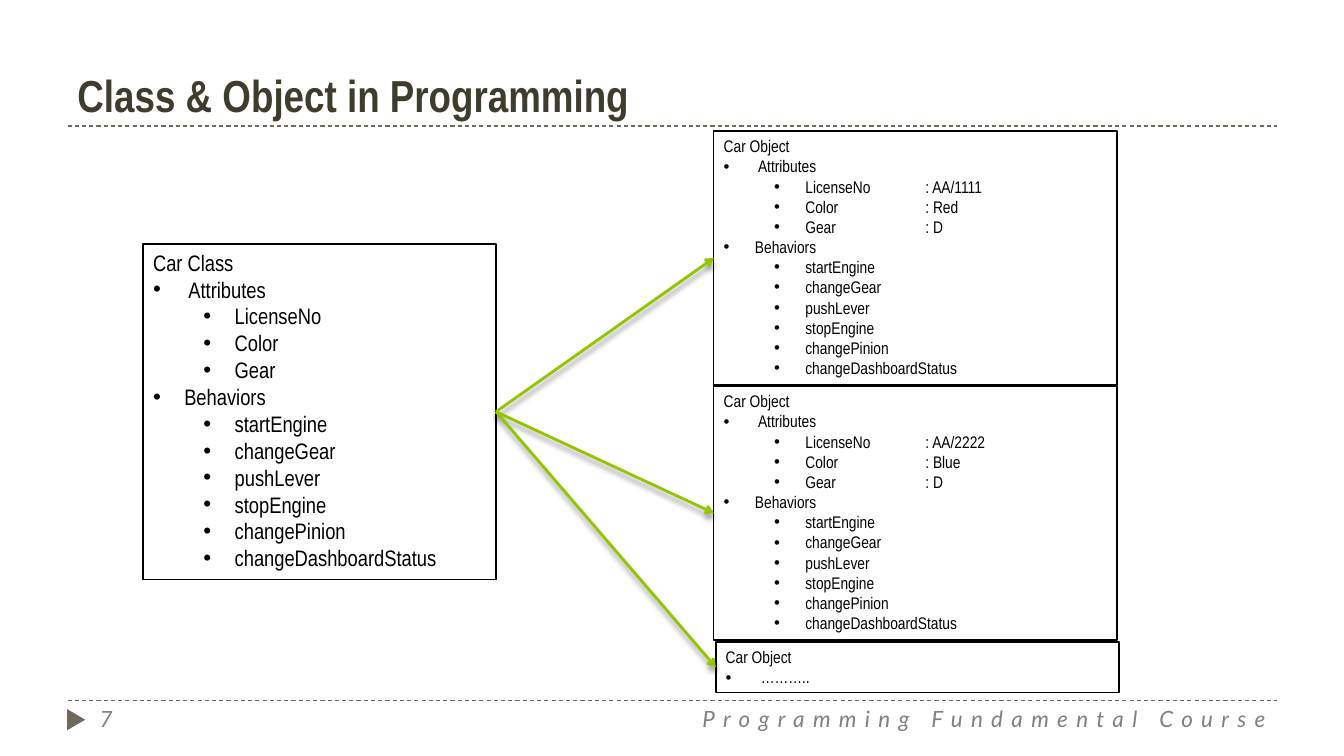
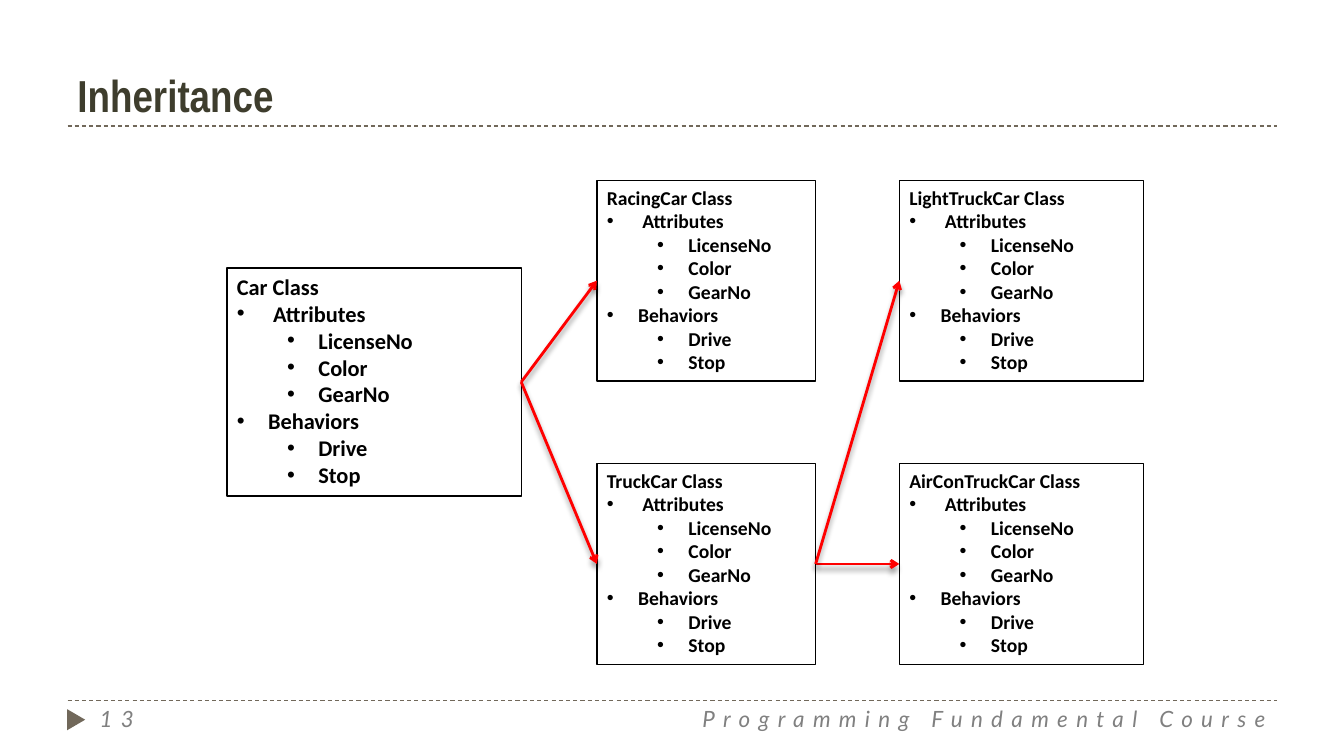
from lxml import etree
from pptx import Presentation
from pptx.dml.color import RGBColor
from pptx.enum.dml import MSO_LINE
from pptx.enum.shapes import MSO_CONNECTOR, MSO_SHAPE
from pptx.enum.text import MSO_ANCHOR, MSO_AUTO_SIZE, PP_ALIGN
from pptx.oxml.ns import qn
from pptx.util import Inches, Pt

DASH = MSO_LINE.DASH
STRAIGHT = MSO_CONNECTOR.STRAIGHT
RECTANGLE, TRIANGLE = MSO_SHAPE.RECTANGLE, MSO_SHAPE.ISOSCELES_TRIANGLE
TOP, BOTTOM = MSO_ANCHOR.TOP, MSO_ANCHOR.BOTTOM
GROW = MSO_AUTO_SIZE.SHAPE_TO_FIT_TEXT
LEFT, RIGHT = PP_ALIGN.LEFT, PP_ALIGN.RIGHT
RIGHT_SIDE, LEFT_SIDE = 3, 1

COLORS = {
    name: RGBColor.from_string(value)
    for name, value in {
        "title": "3E3D2D",
        "rule": "71685A",
        "footer": "808080",
        "text": "000000",
        "object_arrow": "94C600",
        "subclass_arrow": "FF0000",
    }.items()
}
TITLE = {"size": 32, "font": "Arial Narrow", "color": "title", "bold": True}
FOOTER = {"size": 16, "font": "Lato", "color": "footer", "italic": True, "spacing": 6}

CAR_METHODS = ["startEngine", "changeGear", "pushLever",
               "stopEngine", "changePinion", "changeDashboardStatus"]
CAR_FIELDS = ["LicenseNo", "Color", "Gear"]
RED_CAR = ["LicenseNo\t: AA/1111", "Color\t: Red", "Gear\t: D"]
BLUE_CAR = ["LicenseNo\t: AA/2222", "Color\t: Blue", "Gear\t: D"]


def add_run(paragraph, text, size, font, color, bold=False, italic=False, spacing=0):
    run = paragraph.add_run()
    run.text = text
    run.font.size = Pt(size)
    run.font.name = font
    run.font.bold = bold
    run.font.italic = italic
    run.font.color.rgb = COLORS[color]
    if spacing:
        run.font._element.set("spc", str(spacing * 100))


def members(attributes, behaviors):
    return ([(0, " Attributes")] + [(1, name) for name in attributes]
            + [(0, "Behaviors")] + [(1, name) for name in behaviors])


vehicle = members(["LicenseNo", "Color", "GearNo"], ["Drive", "Stop"])

pages = [
    {
        "title": "Class & Object in Programming",
        "number": "7",
        "font": "Arial Narrow",
        "bold": False,
        "arrow": "object_arrow",
        "boxes": [
            ("Car Class", 16, (1.42, 2.42, 3.5, 3.33), members(CAR_FIELDS, CAR_METHODS)),
            ("Car Object", 12, (7.08, 1.3, 4, 2.52), members(RED_CAR, CAR_METHODS)),
            ("Car Object", 12, (7.08, 3.83, 4, 2.52), members(BLUE_CAR, CAR_METHODS)),
            ("Car Object", 12, (7.1, 6.37, 4, 0.5), [(0, " ………..")]),
        ],
        "links": [(0, 1), (0, 2), (0, 3)],
    },
    {
        "title": "Inheritance",
        "number": "13",
        "font": "Calibri",
        "bold": True,
        "arrow": "subclass_arrow",
        "boxes": [
            ("Car Class", 16, (2.25, 2.66, 2.92, 2.26), vehicle),
            ("RacingCar Class", 14, (5.92, 1.79, 2.17, 1.99), vehicle),
            ("TruckCar Class", 14, (5.92, 4.6, 2.17, 1.99), vehicle),
            ("LightTruckCar Class", 14, (8.92, 1.79, 2.42, 1.99), vehicle),
            ("AirConTruckCar Class", 14, (8.92, 4.6, 2.42, 1.99), vehicle),
        ],
        "links": [(0, 1), (0, 2), (2, 4), (2, 3)],
    },
]

prs = Presentation()
prs.slide_width, prs.slide_height = Inches(13.33), Inches(7.5)

for page in pages:
    slide = prs.slides.add_slide(prs.slide_layouts[6])
    shapes = slide.shapes

    for y in (1.25, 6.95):
        rule = shapes.add_connector(STRAIGHT, Inches(0.67), Inches(y), Inches(12.67), Inches(y))
        rule.line.color.rgb = COLORS["rule"]
        rule.line.width = Pt(0.75)
        rule.line.dash_style = DASH
        etree.SubElement(rule._element.spPr, qn("a:effectLst"))

    marker = shapes.add_shape(TRIANGLE, Inches(0.65), Inches(7.05), Inches(0.21), Inches(0.18))
    marker.rotation = 90
    marker.shadow.inherit = False
    marker.fill.solid()
    marker.fill.fore_color.rgb = COLORS["rule"]
    marker.line.fill.background()

    for text, place, align, anchor, style in [
        ("Programming Fundamental Course", (4.58, 6.95, 8.08, 0.4), RIGHT, TOP, FOOTER),
        (page["number"], (0.89, 6.95, 2.89, 0.4), LEFT, TOP, FOOTER),
        (page["title"], (0.67, 0, 9.92, 1.25), LEFT, BOTTOM, TITLE),
    ]:
        frame = shapes.add_textbox(*map(Inches, place)).text_frame
        frame.word_wrap = True
        frame.vertical_anchor = anchor
        frame.paragraphs[0].alignment = align
        add_run(frame.paragraphs[0], text, **style)

    boxes = []
    for heading, size, place, lines in page["boxes"]:
        box = shapes.add_shape(RECTANGLE, *map(Inches, place))
        box.shadow.inherit = False
        box.fill.background()
        box.line.color.rgb = COLORS["text"]
        box.line.width = Pt(1)
        frame = box.text_frame
        frame.word_wrap = True
        frame.auto_size = GROW
        frame.vertical_anchor = TOP
        frame.paragraphs[0].alignment = LEFT
        add_run(frame.paragraphs[0], heading, size, page["font"], "text", page["bold"])
        for level, text in lines:
            item = frame.add_paragraph()
            item.alignment = LEFT
            item.level = level
            props = item._p.get_or_add_pPr()
            props.set("marL", str(Inches(0.31 + 0.5 * level)))
            props.set("indent", str(Inches(-0.31)))
            props.set("defTabSz", str(Inches(1)))
            etree.SubElement(props, qn("a:buFont"), typeface="Arial")
            etree.SubElement(props, qn("a:buChar"), char="•")
            add_run(item, text, size, page["font"], "text", page["bold"])
        boxes.append(box)

    for source, target in page["links"]:
        arrow = shapes.add_connector(STRAIGHT, 0, 0, 0, 0)
        arrow.begin_connect(boxes[source], RIGHT_SIDE)
        arrow.end_connect(boxes[target], LEFT_SIDE)
        arrow.line.color.rgb = COLORS[page["arrow"]]
        arrow.line.width = Pt(2)
        etree.SubElement(arrow.line._get_or_add_ln(), qn("a:tailEnd"), type="arrow")
        effects = etree.SubElement(arrow._element.spPr, qn("a:effectLst"))
        shadow = etree.SubElement(effects, qn("a:outerShdw"), blurRad=str(Pt(4)),
                                  dist=str(Pt(3.4)), dir="5400000", rotWithShape="0")
        shade = etree.SubElement(shadow, qn("a:srgbClr"), val=str(COLORS["text"]))
        etree.SubElement(shade, qn("a:alpha"), val="40000")

prs.save("out.pptx")
